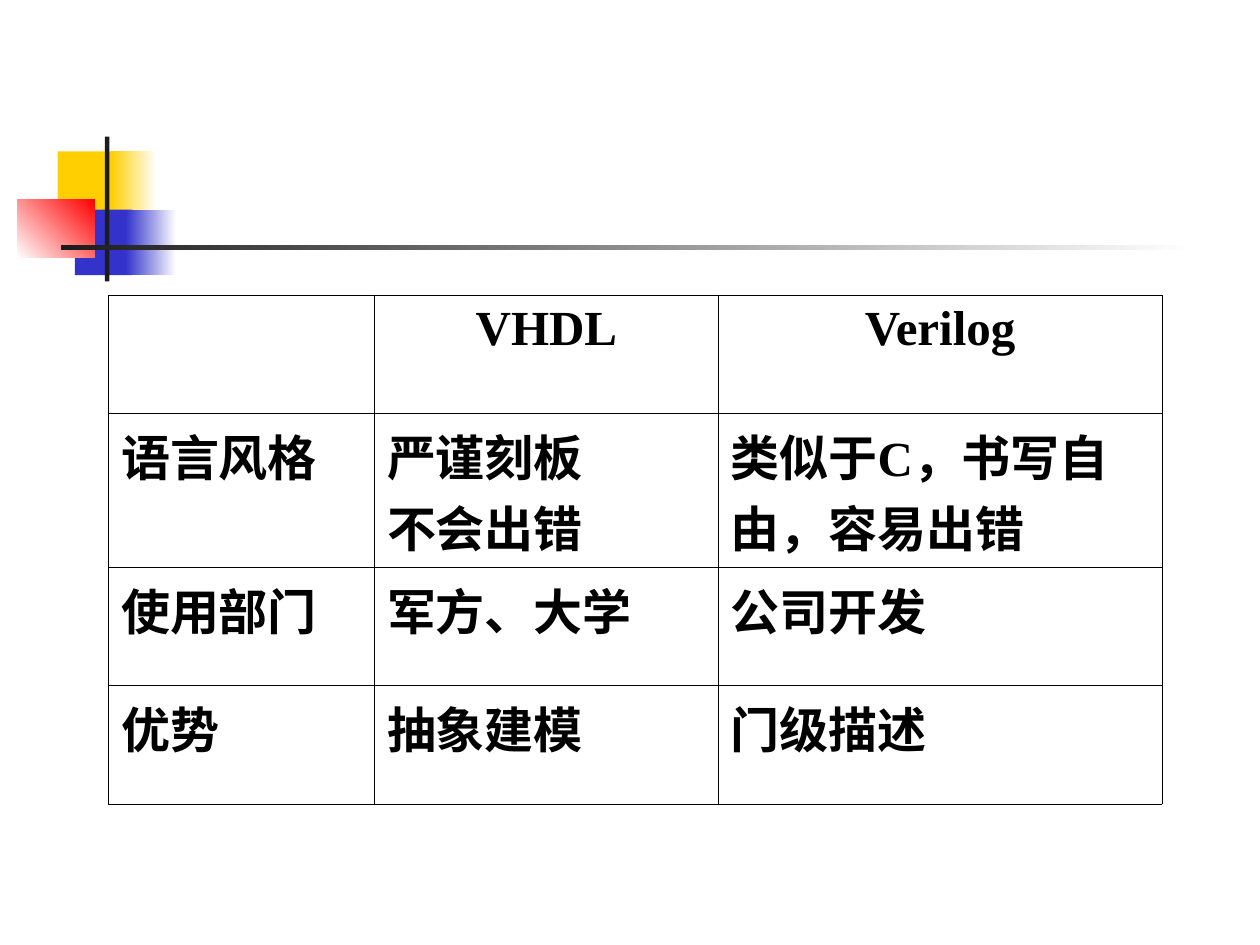
from pptx import Presentation
from pptx.dml.color import RGBColor as RGB
from pptx.enum.shapes import MSO_SHAPE as SHAPE
from pptx.enum.text import PP_ALIGN as ALIGN
from pptx.oxml import parse_xml
from pptx.oxml.ns import nsdecls
from pptx.util import Pt

INK = {"gold": "FFCF01", "blue": "3333CC", "red": "FF0000",
       "dark": "1C1C1C", "white": "FFFFFF", "black": "000000"}
SANS, SERIF = "Cabin", "Times New Roman"

# Left, top, width, height, colours (two make a gradient), angle
BARS = [
    (33, 86.5, 34.5, 37.5, ["gold"], 0),
    (63.5, 86.5, 26, 37.5, ["gold", "white"], 0),
    (42.75, 119.75, 33, 37.5, ["blue"], 0),
    (72, 119.75, 28.75, 37.5, ["blue", "white"], 0),
    (9.75, 113.75, 44.25, 33.5, ["white", "red"], 45),
    (60, 78, 2.5, 82.75, ["dark"], 0),
    (34.75, 140.25, 648, 2.5, ["dark", "white"], 0),
]

# A cell is a list of lines, a line a list of (text, font) runs
ROWS = [
    [[], [[("VHDL", SERIF)]], [[("Verilog", SERIF)]]],
    [[[("语言风格", SANS)]],
     [[("严谨刻板", SANS)], [("不会出错", SANS)]],
     [[("类似于", SANS), ("C，", SERIF), ("书写自由，容易出错", SANS)]]],
    [[[("使用部门", SANS)]], [[("军方、大学", SANS)]], [[("公司开发", SANS)]]],
    [[[("优势", SANS)]], [[("抽象建模", SANS)]], [[("门级描述", SANS)]]],
]
WIDTHS = [152, 196.5, 253.5]
HEIGHTS = [67.5, 88, 67.5, 67.5]


def tint(name):
    return RGB.from_string(INK[name])


def add_bar(slide, x, y, w, h, inks, angle):
    bar = slide.shapes.add_shape(SHAPE.RECTANGLE, Pt(x), Pt(y), Pt(w), Pt(h))
    bar.shadow.inherit = False
    bar.line.fill.background()
    if len(inks) == 1:
        bar.fill.solid()
        bar.fill.fore_color.rgb = tint(inks[0])
        return
    bar.fill.gradient()
    bar.fill.gradient_angle = angle
    for stop, ink, pos in zip(bar.fill.gradient_stops, inks, (0, 1)):
        stop.color.rgb = tint(ink)
        stop.position = pos


def add_run(para, text, font=SANS, size=28, bold=True, ink="black"):
    run = para.add_run()
    run.text = text
    run.font.name = font
    run.font.size = Pt(size)
    run.font.bold = bold
    run.font.color.rgb = tint(ink)


def add_edges(cell, ink="black", width=0.45):
    props = cell._tc.get_or_add_tcPr()
    for side in "LRTB":
        props.append(parse_xml(
            f'<a:ln{side} {nsdecls("a")} w="{Pt(width)}"><a:solidFill>'
            f'<a:srgbClr val="{INK[ink]}"/></a:solidFill></a:ln{side}>'))


def fill_cell(cell, lines, align):
    add_edges(cell)
    cell.fill.background()
    frame = cell.text_frame
    for i, line in enumerate(lines):
        para = frame.add_paragraph() if i else frame.paragraphs[0]
        para.alignment = align
        for text, font in line:
            add_run(para, text, font=font)


def add_grid(slide, x, y):
    grid = slide.shapes.add_table(len(ROWS), len(WIDTHS), Pt(x), Pt(y),
                                  Pt(sum(WIDTHS)), Pt(sum(HEIGHTS))).table
    grid.first_row = grid.horz_banding = False
    for col, width in zip(grid.columns, WIDTHS):
        col.width = Pt(width)
    for r, (row, height) in enumerate(zip(ROWS, HEIGHTS)):
        grid.rows[r].height = Pt(height)
        for c, lines in enumerate(row):
            fill_cell(grid.cell(r, c), lines, ALIGN.LEFT if r else ALIGN.CENTER)


def main():
    deck = Presentation()
    deck.slide_width, deck.slide_height = Pt(720), Pt(540)
    slide = deck.slides.add_slide(deck.slide_layouts[6])
    # Corner blocks and rules
    for bar in BARS:
        add_bar(slide, *bar)
    # Comparison of the two languages
    add_grid(slide, 62, 168.75)
    deck.save("out.pptx")


if __name__ == "__main__":
    main()
